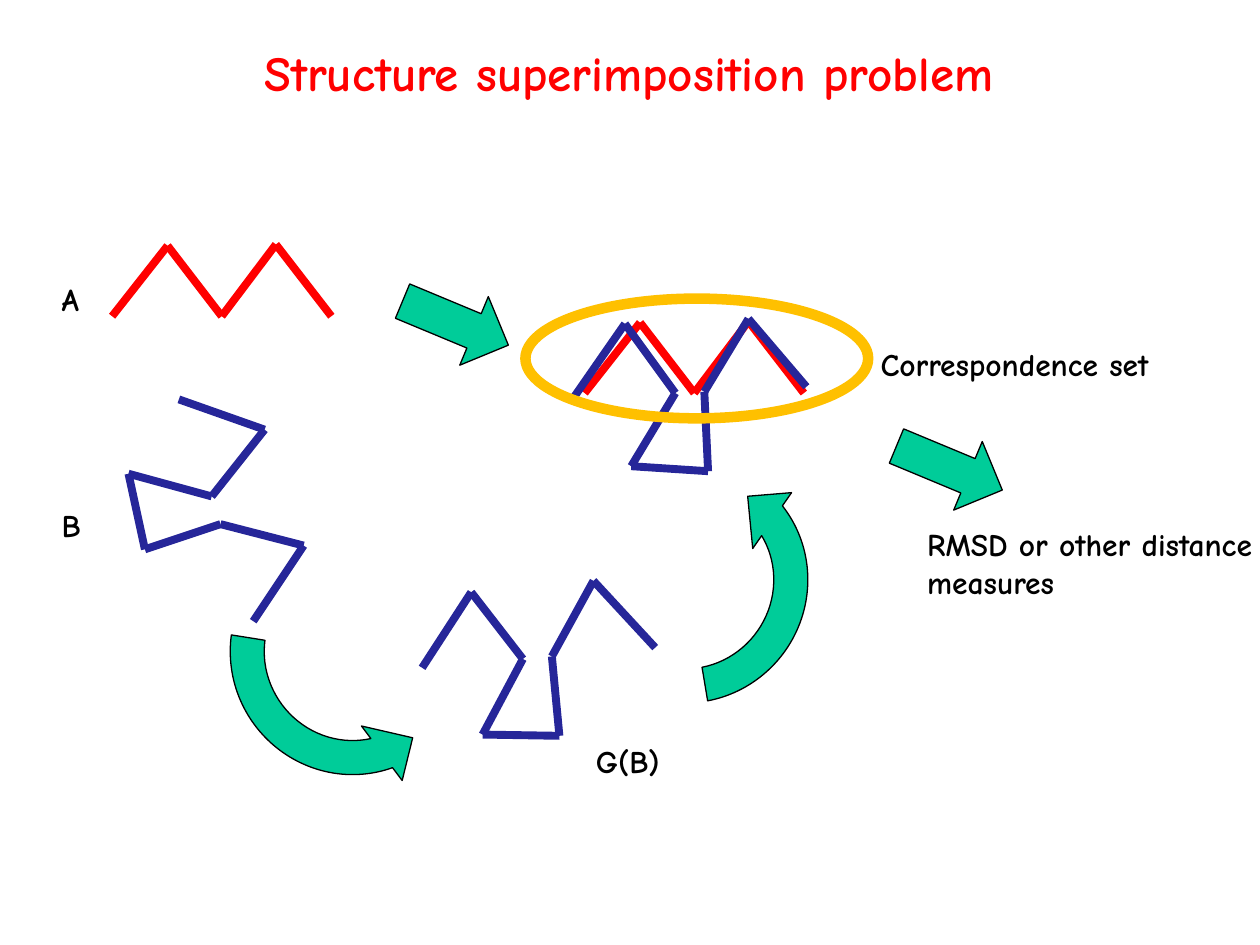
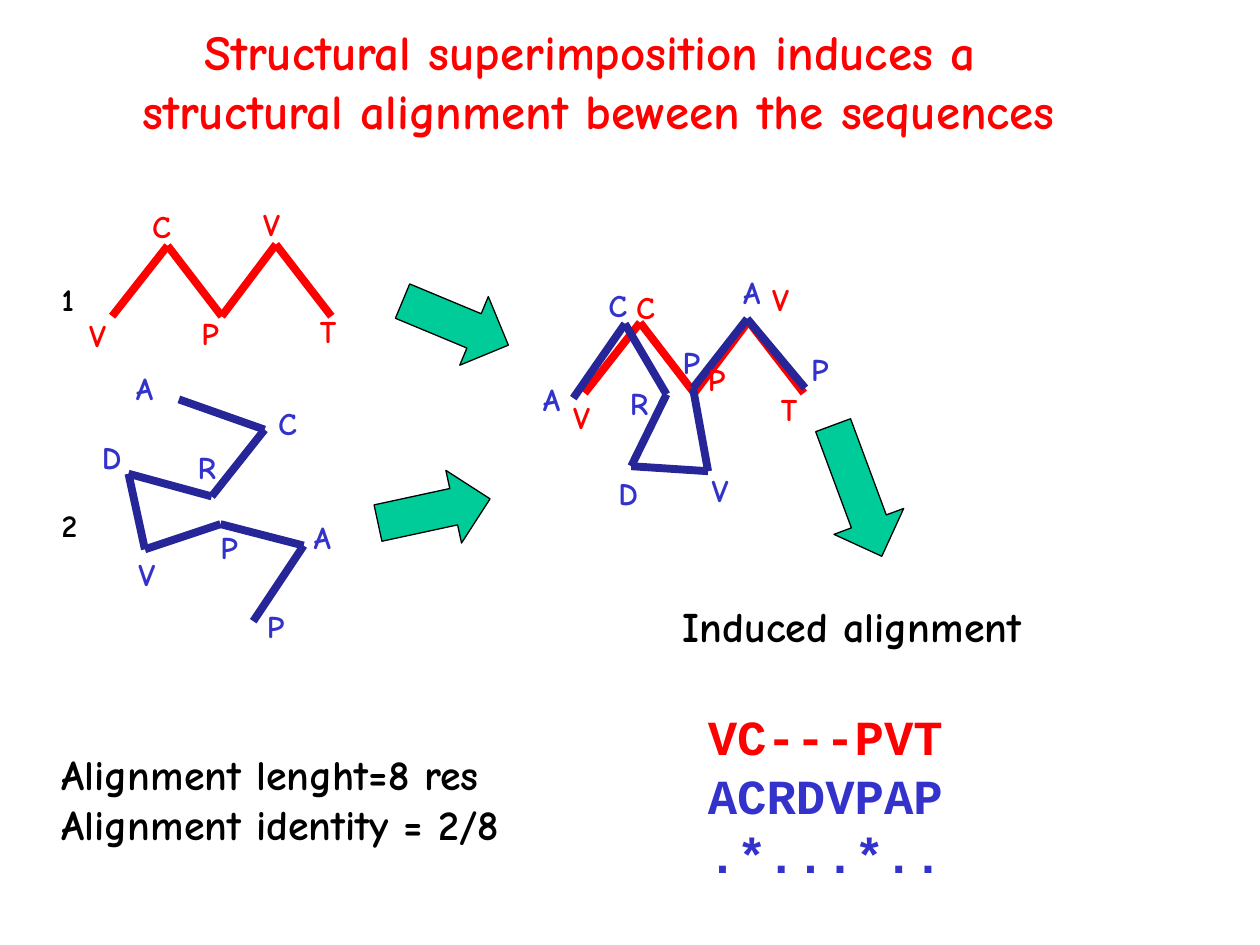
from itertools import pairwise

from pptx import Presentation
from pptx.dml.color import RGBColor
from pptx.enum.shapes import MSO_CONNECTOR as LINK, MSO_SHAPE as SHAPE
from pptx.enum.text import MSO_AUTO_SIZE as FIT, PP_ALIGN as ALIGN
from pptx.oxml.ns import qn
from pptx.util import Pt

SCALE = 9144  # EMU in one px, at 100 px to the inch
WIDE, HIGH = 1000, 750

RED = RGBColor(0xFF, 0x00, 0x00)
BLUE = RGBColor(0x33, 0x33, 0xCC)
NAVY = RGBColor(0x26, 0x26, 0x99)
GREEN = RGBColor(0x00, 0xCC, 0x99)
GOLD = RGBColor(0xFF, 0xC0, 0x00)
BLACK = RGBColor(0x00, 0x00, 0x00)

HAND, MONO = "Comic Neue", "Courier New"
BEND = (0.125, 11.423, 204.577, 134.53, 0.125)

# Corner points of the chains
CHAIN_A = [(89, 251), (133, 195), (176, 251), (219, 194), (263, 251)]
CHAIN_B = [(142, 317), (210, 341), (168, 394), (102, 376),
           (115, 436), (175, 416), (241, 433), (201, 493)]
MOVED_A = [(x + 375, y + 61) for x, y in CHAIN_A]
MOVED_B = [(335, 530), (374, 470), (415, 523), (383, 583),
           (444, 584), (438, 521), (471, 461), (520, 514)]
FIT_B = [(455, 316), (496, 257), (536, 312), (501, 370),
         (562, 374), (559, 311), (594, 253), (640, 307)]
JOIN_B = [(455, 316), (496, 257), (529, 313), (501, 370),
          (562, 374), (550, 308), (593, 253), (639, 308)]

# Places of the residue letters, in chain order
TAGS_A = [(61, 246), (111, 159), (150, 244), (199, 158), (244, 243)]
TAGS_B = [(98, 288), (211, 316), (147, 351), (71, 343),
          (100, 436), (165, 414), (239, 406), (202, 477)]
OVER_A = [(445, 311), (495, 224), (552, 281), (603, 217), (610, 305)]
OVER_B = [(421, 297), (473, 222), (490, 300), (481, 371),
          (555, 369), (532, 267), (580, 212), (634, 273)]


def px(*nums):
    return [n * SCALE for n in nums]


def apply(item, form):
    for key, val in form.items():
        setattr(item, key, val)


def write(slide, rows, box, size=18, ink=BLACK, face=HAND, wrap=False,
          align=None):
    """Add a text box; each row is a string or a (string, colour) pair."""
    frame = slide.shapes.add_textbox(*px(*box)).text_frame
    apply(frame, {"word_wrap": wrap, "auto_size": FIT.SHAPE_TO_FIT_TEXT})
    for i, row in enumerate(rows):
        text, tint = (row, ink) if isinstance(row, str) else row
        para = frame.add_paragraph() if i else frame.paragraphs[0]
        if align is not None:
            para.alignment = align
        run = para.add_run()
        run.text = text
        apply(run.font, {"name": face, "size": Pt(size), "bold": True})
        run.font.color.rgb = tint


def title(slide, rows, box, wrap=False):
    write(slide, rows, box, 28, RED, wrap=wrap, align=ALIGN.CENTER)


def letters(slide, text, spots, ink=BLACK):
    """Put one letter at each spot."""
    for sign, (x, y) in zip(text, spots):
        write(slide, [sign], (x, y, 37, 40), ink=ink)


def chain(slide, spots, ink):
    """Join the spots with thick lines in one group."""
    group = slide.shapes.add_group_shape()
    for start, end in pairwise(spots):
        link = group.shapes.add_connector(
            LINK.STRAIGHT, *px(*start, *end))
        link.line.width = Pt(4.5)
        link.line.color.rgb = ink
        props = link._element.spPr
        props.append(props.makeelement(qn("a:effectLst"), {}))


def shape(slide, kind, box, fill=None, ink=BLACK, width=0.75):
    item = slide.shapes.add_shape(kind, *px(*box))
    item.shadow.inherit = False
    if fill is None:
        item.fill.background()
    else:
        item.fill.solid()
        item.fill.fore_color.rgb = fill
    item.line.color.rgb = ink
    item.line.width = Pt(width)
    return item


def arrow(slide, box, turn):
    shape(slide, SHAPE.RIGHT_ARROW, box, GREEN).rotation = turn


def curl(slide, x, y, turn):
    """Add a curved arrow, flipped top to bottom."""
    item = shape(slide, SHAPE.CIRCULAR_ARROW, (x, y, 220, 216), GREEN)
    for i, val in enumerate(BEND):
        item.adjustments[i] = val
    item.rotation = turn
    item._element.spPr.get_or_add_xfrm().set("flipV", "1")


def base(deck, names):
    """Add a slide with the two named chains and the first arrow."""
    slide = deck.slides.add_slide(deck.slide_layouts[6])
    chain(slide, CHAIN_A, RED)
    chain(slide, CHAIN_B, NAVY)
    letters(slide, names, [(39, 217), (39, 397)])
    chain(slide, MOVED_A, RED)
    arrow(slide, (316, 227, 91, 59), 22.6)
    return slide


def problem(deck):
    slide = base(deck, "AB")
    chain(slide, FIT_B, NAVY)
    chain(slide, MOVED_B, NAVY)
    curl(slide, 168, 411, 53.3)
    write(slide, ["G(B)"], (463, 584, 72, 40))
    curl(slide, 436, 354, 304.8)
    shape(slide, SHAPE.OVAL, (417, 237, 272, 95), ink=GOLD, width=6)
    write(slide, ["Correspondence set"], (689, 269, 258, 40))
    arrow(slide, (708, 342, 91, 59), 22.6)
    write(slide, ["RMSD or other distance measures"],
          (726, 412, 291, 71), wrap=True)
    title(slide, ["Structure superimposition problem"], (163, 29, 672, 57))


def induced(deck):
    slide = base(deck, "12")
    chain(slide, JOIN_B, NAVY)
    arrow(slide, (299, 376, 91, 59), 347.8)
    arrow(slide, (625, 360, 111, 59), 69.6)
    title(slide, ["Structural superimposition induces a ",
                  "structural alignment beween the sequences"],
          (3, 12, 944, 104), wrap=True)
    for spots_a, spots_b in ((TAGS_A, TAGS_B), (OVER_A, OVER_B)):
        letters(slide, "ACRDVPAP", spots_b, BLUE)
        letters(slide, "VCPVT", spots_a, RED)
    write(slide, ["Induced alignment"], (532, 472, 393, 50), 24, wrap=True)
    write(slide, [("VC---PVT", RED), "ACRDVPAP", ".*...*.."],
          (552, 556, 208, 151), 28, BLUE, MONO)
    write(slide, ["Alignment lenght=8 res", "Alignment identity = 2/8"],
          (39, 589, 444, 91), 24, wrap=True)


def main():
    deck = Presentation()
    deck.slide_width, deck.slide_height = px(WIDE, HIGH)
    problem(deck)
    induced(deck)
    deck.save("out.pptx")


if __name__ == "__main__":
    main()
